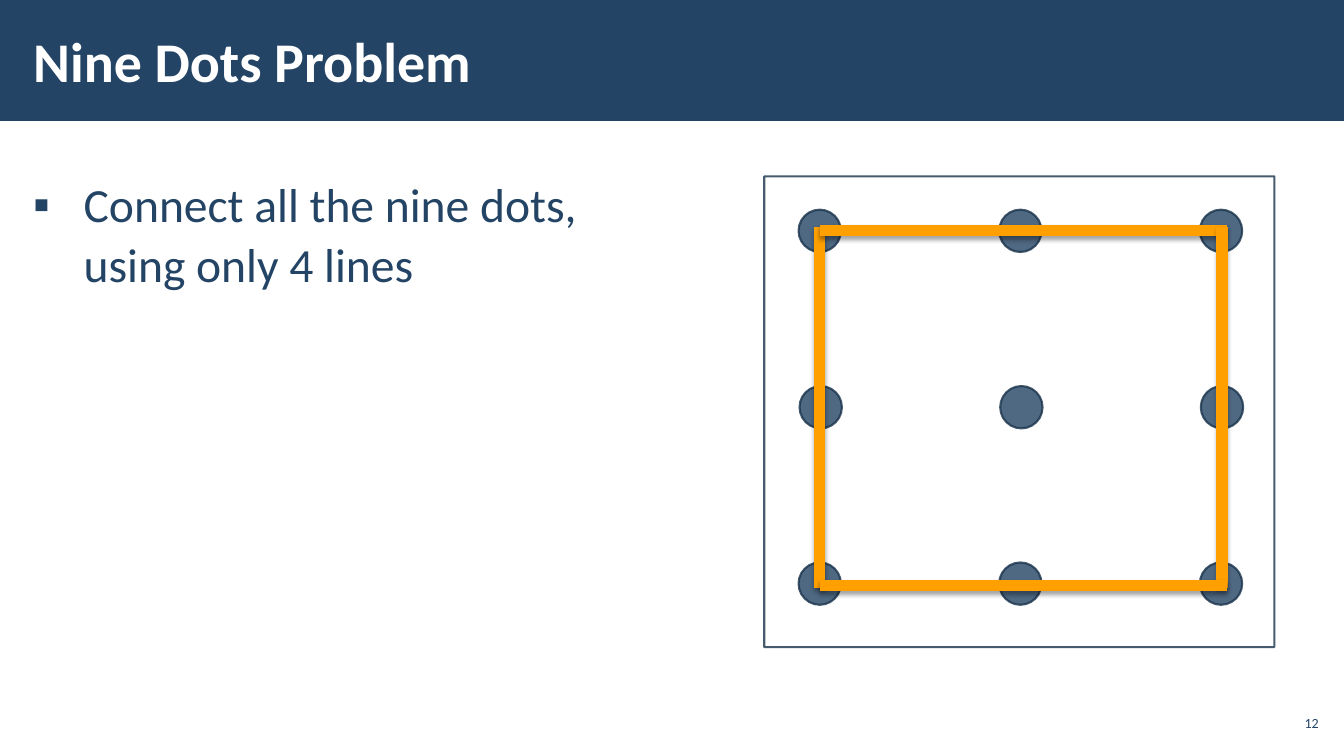
"""Build the Nine Dots Problem slide."""
from lxml import etree
from pptx import Presentation, util as u
from pptx.dml.color import RGBColor
from pptx.enum import shapes, text
from pptx.oxml import ns

W, H = 13.33, 7.5
COLORS = {"navy": "234465", "edge": "1A334C", "path": "FFA000",
          "white": "FFFFFF", "shadow": "000000"}
FONT = "Calibri"
DOT = 0.42
COL0, COL_STEP = 7.92, 1.99
ROW0, ROW_STEP = 2.08, 1.75
LEFT, RIGHT, END = 8.13, 12.12, 12.17
TOP, BOTTOM = 2.29, 5.81


def rgb(name):
    """Look up a colour by name."""
    return RGBColor.from_string(COLORS[name])


def sub(parent, tag, **attrs):
    """Append an XML child with attributes."""
    return etree.SubElement(parent, ns.qn(tag), {k: str(v) for k, v in attrs.items()})


def add_shape(s, kind, box, fill=None, edge=None, opacity=100):
    """Add a flat preset shape with optional fill and outline."""
    sp = s.shapes.add_shape(kind, *map(u.Inches, box))
    sp.shadow.inherit = False
    if fill:
        sp.fill.solid()
        sp.fill.fore_color.rgb = rgb(fill)
    else:
        sp.fill.background()
    if edge:
        sp.line.color.rgb = rgb(edge)
        sp.line.width = u.Pt(1.5)
    else:
        sp.line.fill.background()
    if opacity < 100:
        for color in sp._element.spPr.iter(ns.qn("a:srgbClr")):
            sub(color, "a:alpha", val=opacity * 1000)
    return sp


def add_text(s, box, lines, size, color="navy", bold=None, inset=0.12,
             anchor=text.MSO_ANCHOR.MIDDLE, align=None):
    """Add a text box of one paragraph and return the paragraph."""
    tf = s.shapes.add_textbox(*map(u.Inches, box)).text_frame
    tf.word_wrap = True
    tf.vertical_anchor = anchor
    tf.margin_left = tf.margin_right = u.Inches(inset)
    tf.margin_top = tf.margin_bottom = u.Inches(0.04)
    p = tf.paragraphs[0]
    p.alignment = align
    for i, line in enumerate(lines):
        if i:
            p.add_line_break()
        r = p.add_run()
        r.text = line
        r.font.name, r.font.size, r.font.bold = FONT, u.Pt(size), bold
        r.font.color.rgb = rgb(color)
    return p


def add_bullet(p, char, indent):
    """Give a paragraph a hanging bullet and its spacing."""
    p.line_spacing = 1.05
    p.space_before = p.space_after = u.Pt(6)
    pPr = p._p.get_or_add_pPr()
    pPr.set("marL", str(u.Inches(indent)))
    pPr.set("indent", str(-u.Inches(indent)))
    sub(pPr, "a:buFont", typeface="Arial")
    sub(pPr, "a:buChar", char=char)


def add_stroke(s, *ends):
    """Add a thick path line with a soft shadow below it."""
    c = s.shapes.add_connector(shapes.MSO_CONNECTOR.STRAIGHT, *map(u.Inches, ends))
    c.line.color.rgb = rgb("path")
    c.line.width = u.Pt(8)
    effects = sub(c._element.spPr, "a:effectLst")
    shadow = sub(effects, "a:outerShdw", blurRad=u.Pt(3.1), dist=u.Pt(1.8),
                 dir=5400000, rotWithShape=0)
    sub(sub(shadow, "a:srgbClr", val=COLORS["shadow"]), "a:alpha", val=35000)


def add_puzzle(s):
    """Draw the dots, the frame and the four lines."""
    for col in range(3):
        for row in range(3):
            nudge = 0.01 if row == 1 else 0
            box = (COL0 + col * COL_STEP + nudge, ROW0 + row * ROW_STEP, DOT, DOT)
            add_shape(s, shapes.MSO_SHAPE.OVAL, box, "navy", "edge", 80)
    add_shape(s, shapes.MSO_SHAPE.RECTANGLE, (7.58, 1.75, 5.06, 4.67),
              edge="edge", opacity=80)
    for x, y in ((LEFT, TOP), (RIGHT, BOTTOM)):
        add_stroke(s, x, 5.83, x, 2.25)
        add_stroke(s, END, y, LEFT, y)


def main():
    """Build and save the slide."""
    prs = Presentation()
    prs.slide_width, prs.slide_height = u.Inches(W), u.Inches(H)
    s = prs.slides.add_slide(prs.slide_layouts[6])
    add_shape(s, shapes.MSO_SHAPE.RECTANGLE, (0, 0, W, 0.16 * H), "navy")
    task = add_text(s, (0.21, 1.67, 6.46, 5.33),
                    ["Connect all the nine dots,", "using only 4 lines"], 34,
                    anchor=text.MSO_ANCHOR.TOP)
    add_bullet(task, "▪", 0.5)
    add_text(s, (0.21, 0.11, 10.4, 0.97), ["Nine Dots Problem"], 40, "white", True)
    add_text(s, (12.65, 7, 0.47, 0.34), ["12"], 10, inset=0.04,
             align=text.PP_ALIGN.RIGHT)
    add_puzzle(s)
    prs.save("out.pptx")


if __name__ == "__main__":
    main()
